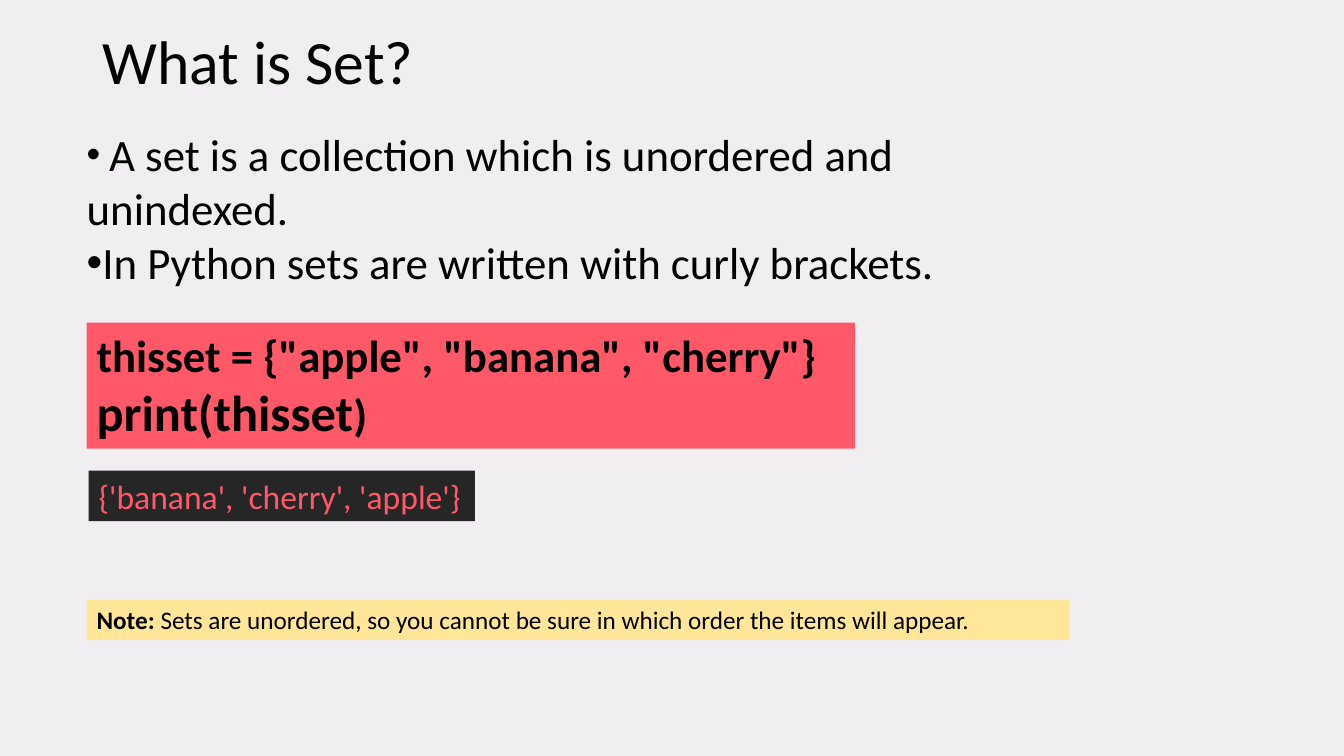
from pptx import Presentation
from pptx.dml.color import RGBColor
from pptx.enum.shapes import MSO_SHAPE
from pptx.enum.text import MSO_ANCHOR, MSO_AUTO_SIZE, PP_ALIGN
from pptx.util import Inches, Pt

RECT = MSO_SHAPE.RECTANGLE
TOP = MSO_ANCHOR.TOP
FIXED = MSO_AUTO_SIZE.NONE
LEFT = PP_ALIGN.LEFT
FONT = "Calibri"
COLORS = {
    "page": "F0EEF0",
    "text": "000000",
    "red": "FF5969",
    "dark": "262626",
    "yellow": "FFE699",
}


def color(name):
    return RGBColor.from_string(COLORS[name])


def write(shape, box, lines, ink="text"):
    shape.left, shape.top, shape.width, shape.height = map(Inches, box)
    frame = shape.text_frame
    frame.word_wrap = True
    frame.auto_size = FIXED
    frame.vertical_anchor = TOP
    for i, runs in enumerate(lines):
        para = frame.add_paragraph() if i else frame.paragraphs[0]
        para.alignment = LEFT
        para.space_before = Pt(0)
        para.font.name = FONT
        para.font.color.rgb = color(ink)
        for text, size, bold in runs:
            run = para.add_run()
            run.text = text
            run.font.size = Pt(size)
            run.font.bold = bold


prs = Presentation()
prs.slide_width = Inches(13.33)
prs.slide_height = Inches(7.5)
slide = prs.slides.add_slide(prs.slide_layouts[1])
slide.background.fill.solid()
slide.background.fill.fore_color.rgb = color("page")

title, body = slide.placeholders
write(title, (0.92, 0.18, 5.62, 0.84), [[("What is Set?", 44, False)]])
write(body, (0.76, 1.21, 9.69, 1.8), [
    [(" ", 28, True),
     ("A set is a collection which is unordered and unindexed.", 32, False)],
    [("In Python sets are written with curly brackets.", 32, False)],
])
for para in body.text_frame.paragraphs:
    props = para._p.get_or_add_pPr()
    props.set("marL", "0")
    props.set("indent", "0")

code = [
    [('thisset = {"apple", "banana", "cherry"}', 32, True)],
    [("print(thisset", 36, True), (")", 32, True)],
]
output = [[("{'banana', 'cherry', 'apple'}", 24, False)]]
note = [[
    ("Note:", 18, True),
    ("\u00a0Sets are unordered, so you cannot be sure in which order "
     "the items will appear.", 18, False),
]]
panels = [
    ((0.86, 3.2, 7.62, 1.25), "red", "text", code),
    ((0.88, 4.67, 3.83, 0.5), "dark", "red", output),
    ((0.86, 5.95, 9.75, 0.4), "yellow", "text", note),
]
for box, fill, ink, lines in panels:
    panel = slide.shapes.add_shape(RECT, *map(Inches, box))
    panel.shadow.inherit = False
    panel.fill.solid()
    panel.fill.fore_color.rgb = color(fill)
    panel.line.fill.background()
    write(panel, box, lines, ink)

prs.save("out.pptx")
